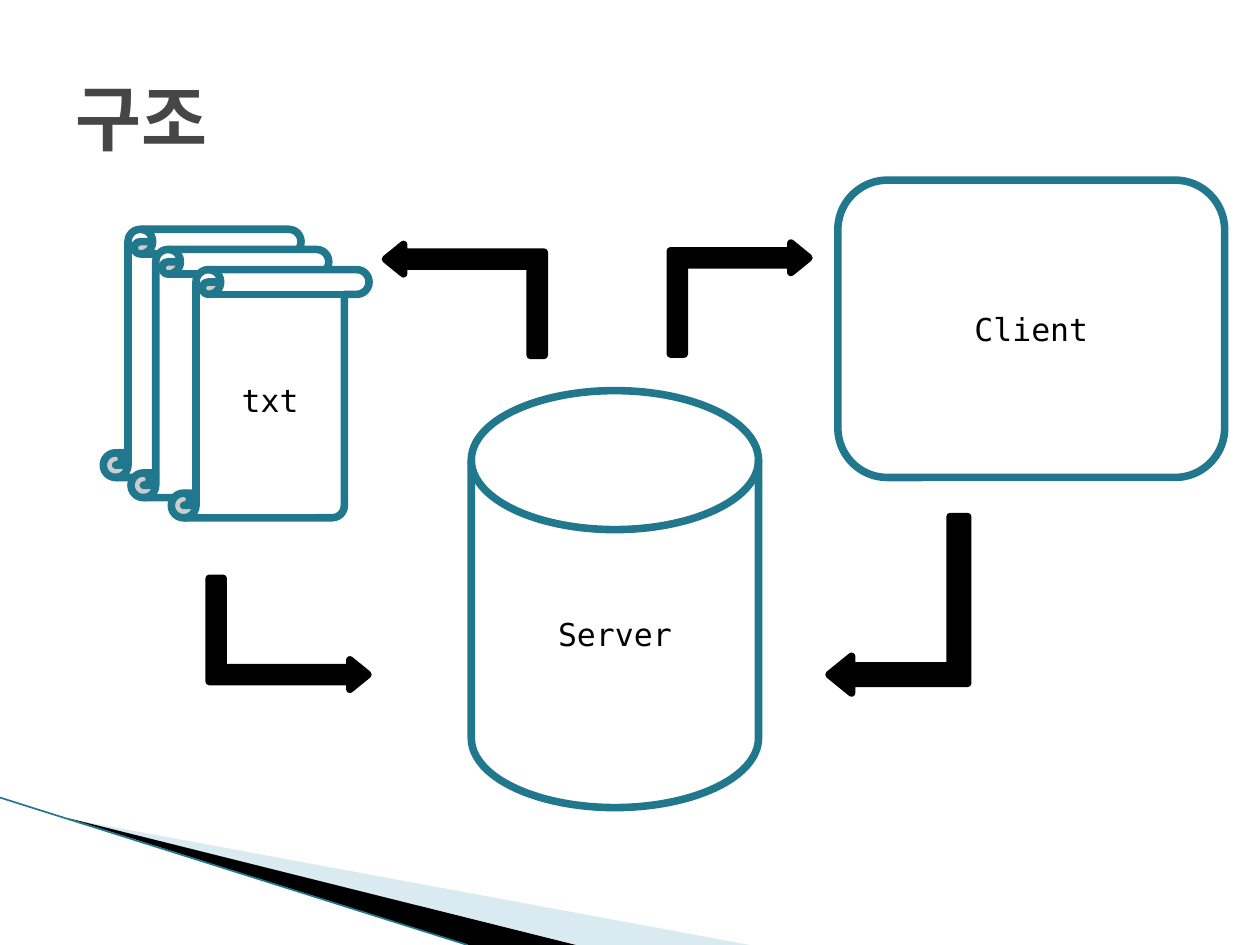
import lxml.etree
import pptx
import pptx.util
import pptx.dml.color
import pptx.enum.shapes
import pptx.enum.text
import pptx.oxml.ns

Inches = pptx.util.Inches
RGBColor = pptx.dml.color.RGBColor
Shape = pptx.enum.shapes.MSO_SHAPE

FONT = "DejaVu Sans Mono"
WHITE = RGBColor(0xFF, 0xFF, 0xFF)
BLACK = RGBColor(0, 0, 0)
TEAL = RGBColor(0x21, 0x78, 0x8D)
PALE_BLUE = RGBColor(0xA0, 0xCB, 0xDC)
TITLE_GRAY = RGBColor(0x46, 0x46, 0x46)
OUTLINE = pptx.util.Pt(4.33)


def write_text(shape, text, size, color, align, bold=False):
    frame = shape.text_frame
    frame.word_wrap = True
    frame.vertical_anchor = pptx.enum.text.MSO_ANCHOR.MIDDLE
    para = frame.paragraphs[0]
    para.text = text
    para.alignment = align
    para.font.name = FONT
    para.font.size = pptx.util.Pt(size)
    para.font.bold = bold
    para.font.color.rgb = color


def add_shape(shapes, kind, left, top, width, height,
              fill=WHITE, line=TEAL, label=None):
    shape = shapes.add_shape(kind, Inches(left), Inches(top),
                             Inches(width), Inches(height))
    shape.shadow.inherit = False
    shape.fill.solid()
    shape.fill.fore_color.rgb = fill
    shape.line.color.rgb = line
    shape.line.width = OUTLINE
    if label:
        write_text(shape, label, 18, BLACK, pptx.enum.text.PP_ALIGN.CENTER)
    return shape


def add_bent_arrow(page, left, top, width, height, rotation, flipped=False):
    arrow = add_shape(page.shapes, Shape.BENT_UP_ARROW, left, top,
                      width, height, BLACK, BLACK)
    for index, value in enumerate((0.126, 0.132, 0.163)):
        arrow.adjustments[index] = value
    arrow.rotation = rotation
    if flipped:
        arrow._element.spPr.xfrm.set("flipV", "1")


def add_wedge(page, points, color, opacity=100):
    corners = [(Inches(x), Inches(y)) for x, y in points]
    builder = page.shapes.build_freeform(*corners[0])
    builder.add_line_segments(corners[1:], close=True)
    wedge = builder.convert_to_shape()
    wedge.shadow.inherit = False
    wedge.line.fill.background()
    wedge.fill.solid()
    wedge.fill.fore_color.rgb = color
    if opacity < 100:
        srgb = wedge._element.spPr.find(".//" + pptx.oxml.ns.qn("a:srgbClr"))
        alpha = lxml.etree.SubElement(srgb, pptx.oxml.ns.qn("a:alpha"))
        alpha.set("val", str(opacity * 1000))


def add_corner_line(page):
    line = page.shapes.add_connector(
        pptx.enum.shapes.MSO_CONNECTOR.STRAIGHT,
        Inches(0), Inches(6.33), Inches(3.71), Inches(7.5))
    line.line.color.rgb = TEAL
    line.line.width = pptx.util.Pt(0.95)
    lxml.etree.SubElement(line._element.spPr, pptx.oxml.ns.qn("a:effectLst"))


def add_title(page, text):
    box = page.shapes.add_textbox(Inches(0.5), Inches(0.3),
                                  Inches(9), Inches(1.25))
    write_text(box, text, 41, TITLE_GRAY, pptx.enum.text.PP_ALIGN.LEFT, True)


def add_scrolls(page):
    group = page.shapes.add_group_shape()
    for left, top, label in ((0.82, 1.82, None), (1.04, 1.98, None),
                             (1.36, 2.14, "txt")):
        add_shape(group.shapes, Shape.VERTICAL_SCROLL, left, top,
                  1.57, 1.97, label=label)


def main():
    deck = pptx.Presentation()
    deck.slide_width = Inches(10)
    deck.slide_height = Inches(7.5)
    page = deck.slides.add_slide(deck.slide_layouts[6])

    # Corner decoration
    add_wedge(page, [(0.55, 6.5), (5.95, 7.5), (4.56, 7.5)], PALE_BLUE, 40)
    add_wedge(page, [(0.53, 6.49), (4.57, 7.5), (3.72, 7.5)], BLACK)
    add_corner_line(page)

    # Title and the three parts of the structure
    add_title(page, "구조")
    add_shape(page.shapes, Shape.FLOWCHART_MAGNETIC_DISK,
              3.74, 3.1, 2.28, 3.31, label="Server")
    add_scrolls(page)
    add_shape(page.shapes, Shape.ROUNDED_RECTANGLE,
              6.65, 1.43, 3.07, 2.36, label="Client")

    # Arrows: server to txt, txt to server, server to client, client to server
    add_bent_arrow(page, 3.25, 1.75, 0.88, 1.26, 270)
    add_bent_arrow(page, 1.85, 4.4, 0.88, 1.26, 90)
    add_bent_arrow(page, 5.43, 1.82, 0.88, 1.1, 270, flipped=True)
    add_bent_arrow(page, 6.43, 4.25, 1.4, 1.1, 90, flipped=True)

    deck.save("out.pptx")


if __name__ == "__main__":
    main()
